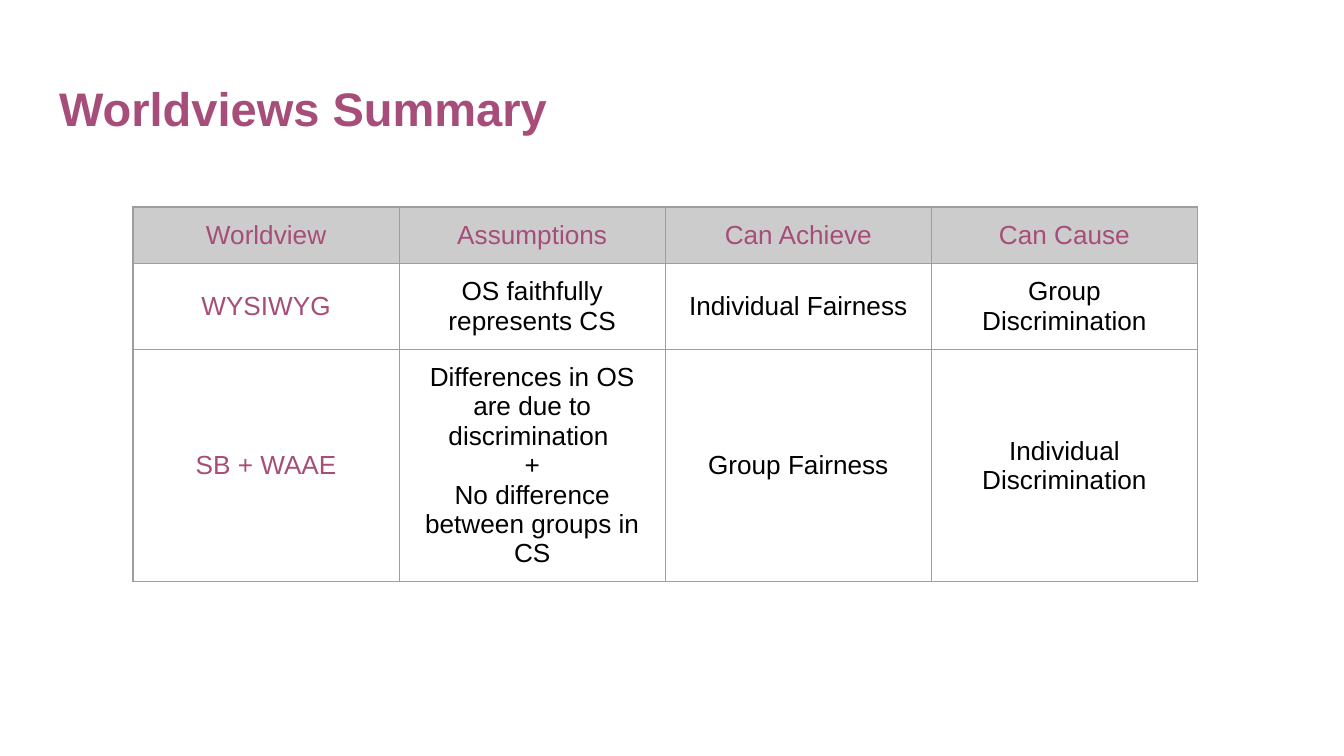
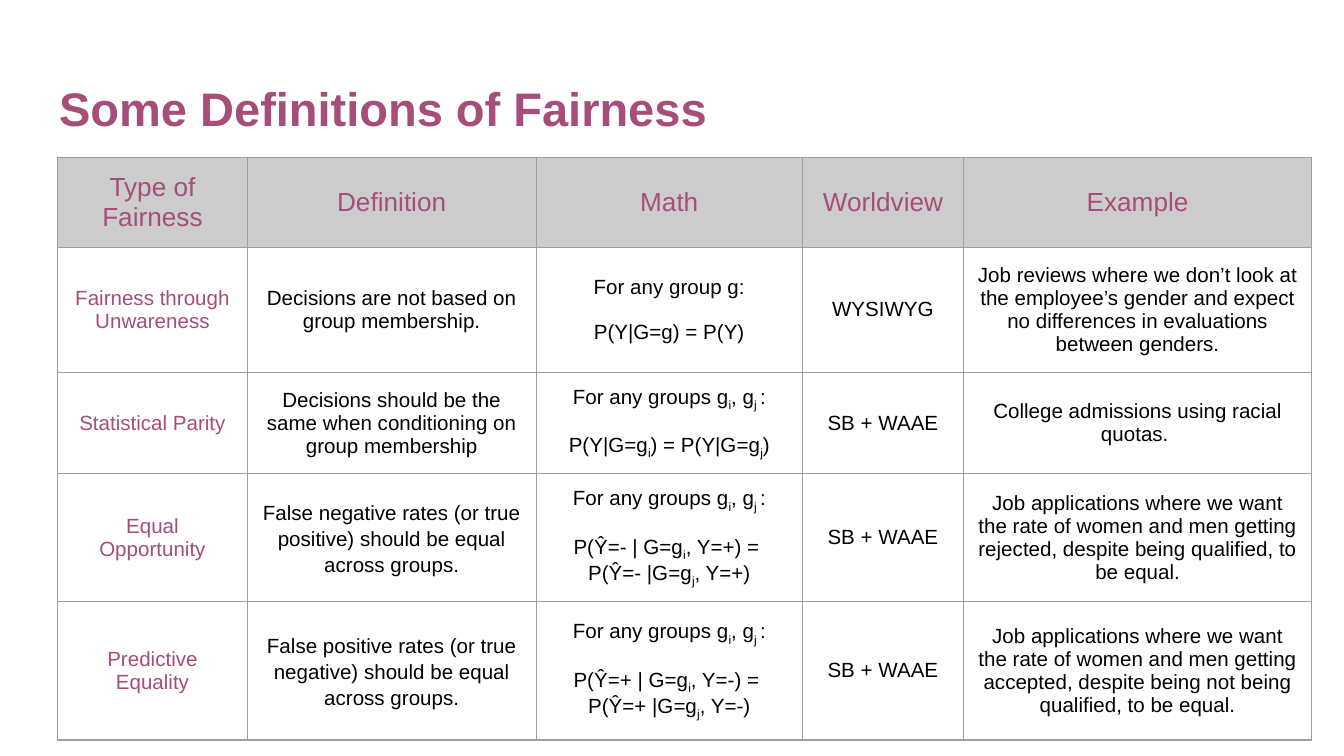
from lxml.etree import SubElement
from pptx import Presentation
from pptx.dml.color import RGBColor
from pptx.enum.text import MSO_ANCHOR, PP_ALIGN
from pptx.oxml.ns import qn
from pptx.util import Inches, Pt

COLORS = {
    "accent": "A64D79",
    "text": "000000",
    "header": "CCCCCC",
    "border": "9E9E9E",
}
FONT = "Arial"
TITLE_ONLY = 5
TITLE_BOX = (0.34, 0.49, 9.32, 0.63)
INSET = Inches(0.1)

SUMMARY_ROWS = [
    ["Worldview", "Assumptions", "Can Achieve", "Can Cause"],
    ["WYSIWYG", "OS faithfully represents CS", "Individual Fairness", "Group Discrimination"],
    [
        "SB + WAAE",
        "Differences in OS are due to discrimination \n+\nNo difference between groups in CS",
        "Group Fairness",
        "Individual Discrimination",
    ],
]

GROUP_PAIR = "For any groups g~i~, g~j ~:\n"
DEFINITION_ROWS = [
    ["Type of Fairness", "Definition", "Math", "Worldview", "Example"],
    [
        "Fairness through Unwareness",
        "Decisions are not based on group membership.",
        "For any group g:\nP(Y|G=g) = P(Y)",
        "WYSIWYG",
        "Job reviews where we don’t look at the employee’s gender and expect "
        "no differences in evaluations between genders.",
    ],
    [
        "Statistical Parity",
        "Decisions should be the same when conditioning on group membership",
        GROUP_PAIR + "P(Y|G=g~i~) = P(Y|G=g~j~)",
        "SB + WAAE",
        "College admissions using racial quotas. ",
    ],
    [
        "Equal Opportunity",
        "False negative rates (or true positive) should be equal across groups.",
        GROUP_PAIR + "P(Ŷ=- | G=g~i~, Y=+) = \nP(Ŷ=- |G=g~j~, Y=+)",
        "SB + WAAE",
        "Job applications where we want the rate of women and men getting "
        "rejected, despite being qualified, to be equal.",
    ],
    [
        "Predictive Equality",
        "False positive rates (or true negative) should be equal across groups.",
        GROUP_PAIR + "P(Ŷ=+ | G=g~i~, Y=-) = \nP(Ŷ=+ |G=g~j~, Y=-)",
        "SB + WAAE",
        "Job applications where we want the rate of women and men getting "
        "accepted, despite being not being qualified, to be equal.",
    ],
]
DEFINITION_FORMATS = {
    **{(row, 2): {"first_gap": 12} for row in range(1, 5)},
    **{(row, 1): {"line_spacing": 1.15} for row in (3, 4)},
}


def write_text(frame, text, size=14, color="text", bold=False,
               align=PP_ALIGN.CENTER, line_spacing=1.0, first_gap=0):
    for index, line in enumerate(text.split("\n")):
        paragraph = frame.add_paragraph() if index else frame.paragraphs[0]
        paragraph.alignment = align
        paragraph.line_spacing = line_spacing
        paragraph.space_before = Pt(0)
        paragraph.space_after = Pt(0 if index else first_gap)
        for position, part in enumerate(line.split("~")):
            if not part:
                continue
            run = paragraph.add_run()
            run.text = part
            run.font.name = FONT
            run.font.size = Pt(size)
            run.font.bold = bold
            run.font.color.rgb = RGBColor.from_string(COLORS[color])
            if position % 2:
                run._r.get_or_add_rPr().set("baseline", "-25000")


def add_title(slide, text, box):
    title = slide.shapes.title
    title.left, title.top, title.width, title.height = map(Inches, box)
    frame = title.text_frame
    frame.word_wrap = True
    frame.vertical_anchor = MSO_ANCHOR.TOP
    frame.margin_left = frame.margin_right = INSET
    frame.margin_top = frame.margin_bottom = INSET
    write_text(frame, text, size=25.2, color="accent", bold=True, align=PP_ALIGN.LEFT)


def style_cell(cell, is_header):
    cell.vertical_anchor = MSO_ANCHOR.MIDDLE
    cell.margin_left = cell.margin_right = INSET
    cell.margin_top = cell.margin_bottom = INSET
    properties = cell._tc.get_or_add_tcPr()
    for side in ("a:lnL", "a:lnR", "a:lnT", "a:lnB"):
        line = SubElement(properties, qn(side), w=str(Pt(0.75)))
        fill = SubElement(line, qn("a:solidFill"))
        SubElement(fill, qn("a:srgbClr"), val=COLORS["border"])
    if is_header:
        cell.fill.solid()
        cell.fill.fore_color.rgb = RGBColor.from_string(COLORS["header"])
    else:
        cell.fill.background()


def add_grid(slide, rows, left, top, widths, heights, body_size=14, formats=None):
    formats = formats or {}
    table = slide.shapes.add_table(
        len(rows), len(widths), Inches(left), Inches(top),
        Inches(sum(widths)), Inches(sum(heights)),
    ).table
    table.first_row = table.horz_banding = False
    for column, width in zip(table.columns, widths):
        column.width = Inches(width)
    for row, height in zip(table.rows, heights):
        row.height = Inches(height)
    for row_index, texts in enumerate(rows):
        for column_index, text in enumerate(texts):
            cell = table.cell(row_index, column_index)
            is_header = row_index == 0
            style_cell(cell, is_header)
            write_text(
                cell.text_frame, text,
                size=14 if is_header else body_size,
                color="accent" if is_header or column_index == 0 else "text",
                **formats.get((row_index, column_index), {}),
            )


def add_table_slide(presentation, title, rows, **grid):
    slide = presentation.slides.add_slide(presentation.slide_layouts[TITLE_ONLY])
    add_title(slide, title, TITLE_BOX)
    add_grid(slide, rows, **grid)


def main():
    presentation = Presentation()
    presentation.slide_width = Inches(10)
    presentation.slide_height = Inches(10) * 9 // 16
    add_table_slide(
        presentation, "Worldviews Summary", SUMMARY_ROWS,
        left=0.99, top=1.54, widths=[1.98] * 4, heights=[0.42, 0.64, 1.73],
    )
    add_table_slide(
        presentation, "Some Definitions of Fairness", DEFINITION_ROWS,
        left=0.43, top=1.17, widths=[1.41, 2.15, 1.98, 1.2, 2.59],
        heights=[0.67, 0.93, 0.75, 0.95, 1.03],
        body_size=11, formats=DEFINITION_FORMATS,
    )
    presentation.save("out.pptx")


if __name__ == "__main__":
    main()
